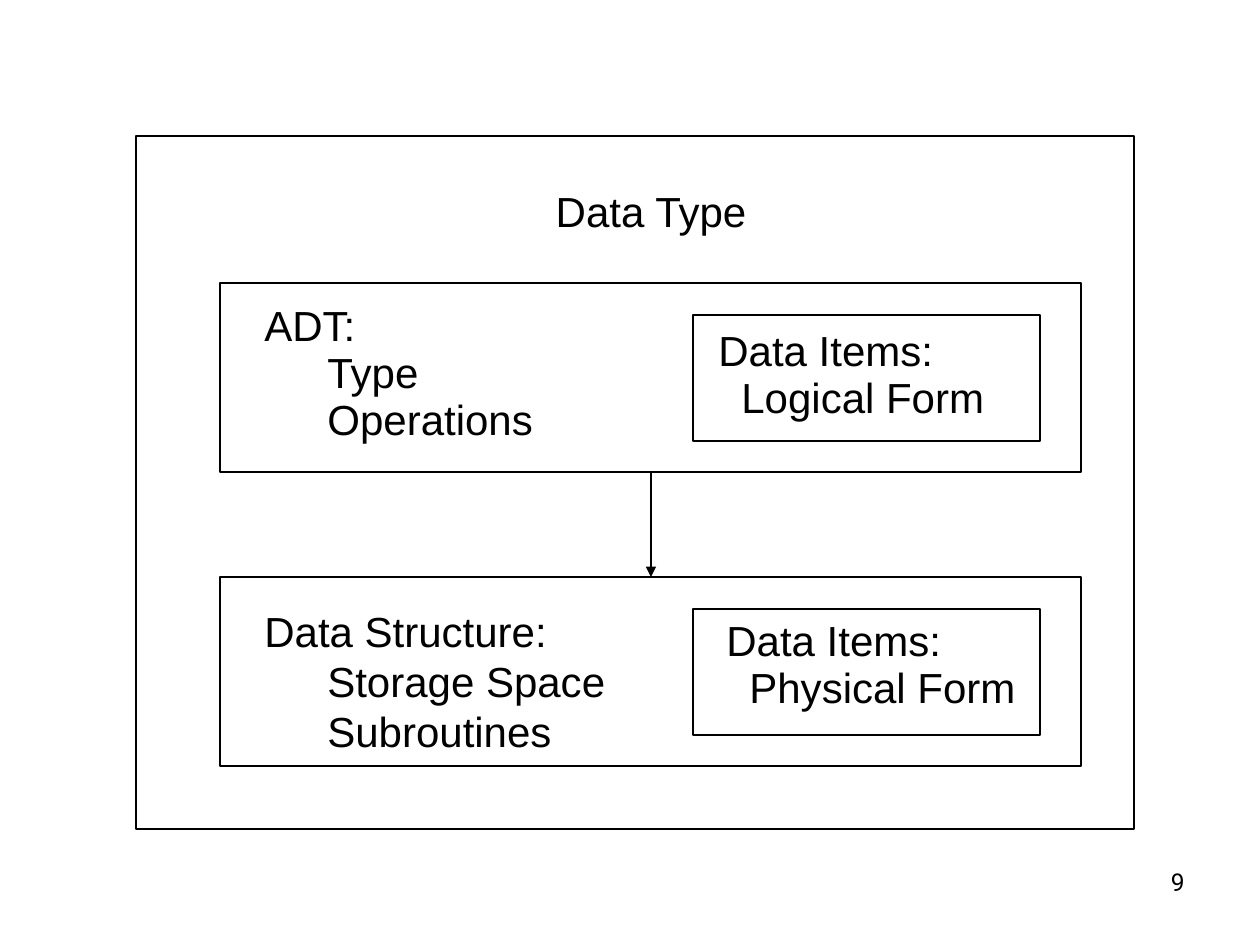
"""Build a slide relating a data type, its ADT and its data structure."""
from lxml import etree
from pptx import Presentation
from pptx.dml.color import RGBColor
from pptx.enum.shapes import MSO_CONNECTOR, MSO_SHAPE
from pptx.enum.text import PP_ALIGN
from pptx.oxml.ns import qn
from pptx.util import Emu, Pt

RECT = MSO_SHAPE.RECTANGLE
STRAIGHT = MSO_CONNECTOR.STRAIGHT
LEFT, CENTER, RIGHT = PP_ALIGN.LEFT, PP_ALIGN.CENTER, PP_ALIGN.RIGHT
BLACK = RGBColor(0, 0, 0)
SCALE = 914400 / 126


def px(n):
    return Emu(round(n * SCALE))


class Diagram:
    font = "Arial"
    size = 24
    line_width = Pt(0.75)

    def __init__(self, slide):
        self.s = slide

    def box(self, x, y, w, h):
        sp = self.s.shapes.add_shape(RECT, px(x), px(y), px(w), px(h))
        sp.shadow.inherit = False
        sp.fill.background()
        sp.line.color.rgb = BLACK
        sp.line.width = self.line_width

    def arrow(self, x1, y1, x2, y2):
        cx = self.s.shapes.add_connector(STRAIGHT, px(x1), px(y1), px(x2), px(y2))
        cx.line.color.rgb = BLACK
        cx.line.width = self.line_width
        etree.SubElement(cx.line._get_or_add_ln(), qn("a:tailEnd"), type="triangle")
        etree.SubElement(cx._element.spPr, qn("a:effectLst"))

    def text(self, x, y, w, h, lines, indent=0, tight=False, wrap=True,
             align=LEFT, font=font, size=size):
        tf = self.s.shapes.add_textbox(px(x), px(y), px(w), px(h)).text_frame
        tf.word_wrap = wrap
        tf.text = "\n".join(lines)
        for i, p in enumerate(tf.paragraphs):
            p.alignment = align
            if tight:
                p.line_spacing = 0.5
                p.space_before = Pt(12.5)
            if i:
                pPr = p._p.get_or_add_pPr()
                pPr.set("marL", str(px(indent)))
                pPr.set("indent", "0")
            f = p.runs[0].font
            f.name, f.size, f.color.rgb = font, Pt(size), BLACK


prs = Presentation()
prs.slide_width, prs.slide_height = px(1260), px(945)
d = Diagram(prs.slides.add_slide(prs.slide_layouts[6]))

d.box(136, 136, 998, 693)
d.text(357, 179, 588, 63, ["Data Type"], align=CENTER)
for top in (283, 577):
    d.box(220, top, 861, 189)
    d.box(693, top + 32, 347, 126)
d.arrow(651, 472, 651, 577)

d.text(252, 315, 347, 139, ["ADT:", "Type", "Operations"], indent=63, tight=True)
d.text(706, 340, 345, 88, ["Data Items:", "Logical Form"], indent=23, tight=True)
d.text(252, 599, 367, 164, ["Data Structure:", "Storage Space", "Subroutines"],
       indent=63, wrap=False)
d.text(714, 630, 347, 88, ["Data Items:", "Physical Form"], indent=23, tight=True)
d.text(903, 861, 294, 66, ["9"], align=RIGHT, font="Roboto", size=14)

prs.save("out.pptx")
